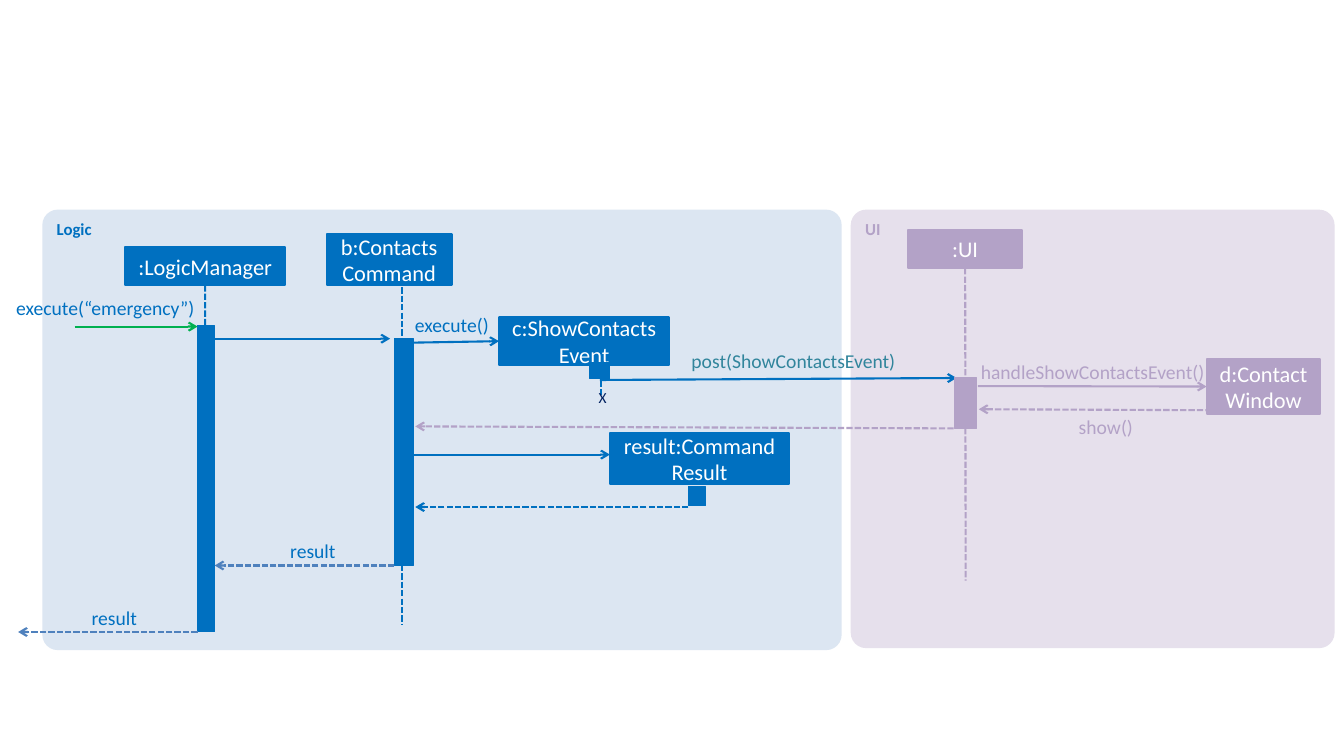
from lxml.etree import SubElement
from pptx import Presentation
from pptx.dml.color import RGBColor
from pptx.enum.dml import MSO_LINE_DASH_STYLE as Dash
from pptx.enum.shapes import MSO_CONNECTOR_TYPE as Link, MSO_SHAPE as Shape
from pptx.enum.text import MSO_ANCHOR as Anchor, MSO_AUTO_SIZE as AutoSize, PP_ALIGN as Align
from pptx.oxml.ns import qn
from pptx.util import Inches, Pt

COLORS = {
    "logic": "0070C0", "logic_panel": "DCE6F2",
    "ui": "B3A2C7", "ui_panel": "E6E0EC",
    "call": "00B050", "return": "4F81BD",
    "post": "31859C", "end": "002060", "white": "FFFFFF",
}
BOTTOM, LEFT = 2, 1


def cells(*counts):
    """Turn counts of tenth-of-an-inch grid cells into lengths."""
    return [Inches(count / 10) for count in counts]


def rgb(name):
    return RGBColor.from_string(COLORS[name])


def write(frame, text, size, color, align=Align.LEFT, bold=False):
    paragraph = frame.paragraphs[0]
    paragraph.alignment = align
    run = paragraph.add_run()
    run.text = text
    run.font.name = "Calibri"
    run.font.size = Pt(size)
    run.font.bold = bold
    run.font.color.rgb = rgb(color)


def add_block(slide, kind, place, fill):
    block = slide.shapes.add_shape(kind, *cells(*place))
    block.shadow.inherit = False
    block.fill.solid()
    block.fill.fore_color.rgb = rgb(fill)
    block.line.fill.background()
    return block


def add_panel(slide, title, place, color):
    panel = add_block(slide, Shape.ROUNDED_RECTANGLE, place, color + "_panel")
    panel.adjustments[0] = 0.035
    panel.text_frame.vertical_anchor = Anchor.TOP
    write(panel.text_frame, title, 12, color, bold=True)


def add_bar(slide, place, color="logic", weight=0.75):
    bar = add_block(slide, Shape.RECTANGLE, place, color)
    bar.line.color.rgb = rgb(color)
    bar.line.width = Pt(weight)
    return bar


def add_participant(slide, name, place, color="logic"):
    participant = add_bar(slide, place, color, 1.5)
    frame = participant.text_frame
    frame.word_wrap = True
    frame.vertical_anchor = Anchor.MIDDLE
    write(frame, name, 16, "white", Align.CENTER)
    return participant


def add_line(slide, start, end, color="logic", dashed=False, arrow=True):
    line = slide.shapes.add_connector(Link.STRAIGHT, *cells(*start, *end))
    line.line.color.rgb = rgb(color)
    line.line.width = Pt(1.5)
    if dashed:
        line.line.dash_style = Dash.SQUARE_DOT
    if arrow:
        SubElement(line.line._get_or_add_ln(), qn("a:tailEnd"), type="arrow")
    SubElement(line._element.spPr, qn("a:effectLst"))
    return line


def add_lifeline(slide, x, top, bottom, color="logic"):
    return add_line(slide, (x, top), (x, bottom), color, dashed=True, arrow=False)


def add_reply(slide, start, end, color="logic"):
    add_line(slide, start, end, color, dashed=True)


def add_label(slide, text, place, color="logic", align=Align.RIGHT):
    frame = slide.shapes.add_textbox(*cells(*place, 2.4)).text_frame
    frame.margin_left = frame.margin_right = frame.margin_top = frame.margin_bottom = 0
    frame.word_wrap = True
    frame.auto_size = AutoSize.SHAPE_TO_FIT_TEXT
    write(frame, text, 14, color, align)


def add_end_mark(slide, place):
    frame = slide.shapes.add_textbox(*cells(*place)).text_frame
    frame.word_wrap = False
    frame.auto_size = AutoSize.SHAPE_TO_FIT_TEXT
    write(frame, "X", 11, "end")


def add_logic_manager(slide):
    manager = add_participant(slide, ":LogicManager", (12.4, 24.5, 15.9, 3.8))
    add_lifeline(slide, 20.4, 28.5, 56.9).begin_connect(manager, BOTTOM)
    add_bar(slide, (19.6, 32.3, 1.7, 30.4))
    add_line(slide, (7.4, 32.4), (19.6, 32.4), "call")
    add_label(slide, "execute(“emergency”)", (1.6, 29.4, 17.7))
    add_reply(slide, (19.6, 62.7), (1.8, 62.7), "return")
    add_label(slide, "result", (5.2, 60.1, 8.4))


def add_command(slide):
    add_participant(slide, "b:ContactsCommand", (32.4, 23.2, 12.4, 5.1))
    add_lifeline(slide, 39.9, 28.5, 61.9)
    add_bar(slide, (39.1, 33.6, 1.9, 22.5))
    add_line(slide, (21.3, 33.6), (38.7, 33.6))
    add_reply(slide, (39.1, 56.1), (21.3, 56.1), "return")
    add_label(slide, "result", (25, 53.5, 8.3))


def add_event(slide):
    event = add_participant(slide, "c:ShowContactsEvent", (49.5, 31.5, 16.9, 4.7))
    add_lifeline(slide, 59.6, 36.1, 39.2)
    add_bar(slide, (58.5, 36, 2, 1.6))
    add_line(slide, (40.5, 34), (49.5, 34)).end_connect(event, LEFT)
    add_label(slide, "execute()", (27.9, 31, 20.6))
    add_end_mark(slide, (58.4, 38, 2.8, 2.9))
    add_line(slide, (59.5, 37.7), (94.9, 37.5))
    add_label(slide, "post(ShowContactsEvent)", (68.6, 34.6, 29.7), "post", Align.LEFT)


def add_result(slide):
    add_participant(slide, "result:Command Result", (60.5, 43, 17.8, 5))
    add_bar(slide, (68.3, 48.3, 1.7, 1.9))
    add_line(slide, (41.1, 45.1), (60.5, 45.1))
    add_reply(slide, (68.3, 50.3), (41.2, 50.3))


def add_ui(slide):
    ui = add_participant(slide, ":UI", (90.1, 22.8, 11.3, 3.8), "ui")
    add_lifeline(slide, 95.8, 26.7, 57.6, "ui").begin_connect(ui, BOTTOM)
    add_bar(slide, (94.7, 37.5, 2.2, 5), "ui")
    add_reply(slide, (94.6, 42.5), (41.2, 42.3), "ui")
    window = add_participant(slide, "d:ContactWindow", (119.7, 35.6, 11.3, 5.5), "ui")
    add_line(slide, (97, 38.3), (119.7, 38.3), "ui").end_connect(window, LEFT)
    add_label(slide, "handleShowContactsEvent()", (97.3, 35.7, 23), "ui", Align.LEFT)
    add_reply(slide, (120.2, 40.7), (97.1, 40.6), "ui")
    add_label(slide, "show()", (91.8, 41.2, 20.6), "ui")


def main():
    deck = Presentation()
    deck.slide_width, deck.slide_height = cells(133.33, 75)
    slide = deck.slides.add_slide(deck.slide_layouts[6])
    add_panel(slide, "UI", (84.4, 20.8, 48, 43.5), "ui")
    add_panel(slide, "Logic", (4.2, 20.8, 79.3, 43.7), "logic")
    add_logic_manager(slide)
    add_command(slide)
    add_event(slide)
    add_result(slide)
    add_ui(slide)
    deck.save("out.pptx")


if __name__ == "__main__":
    main()
